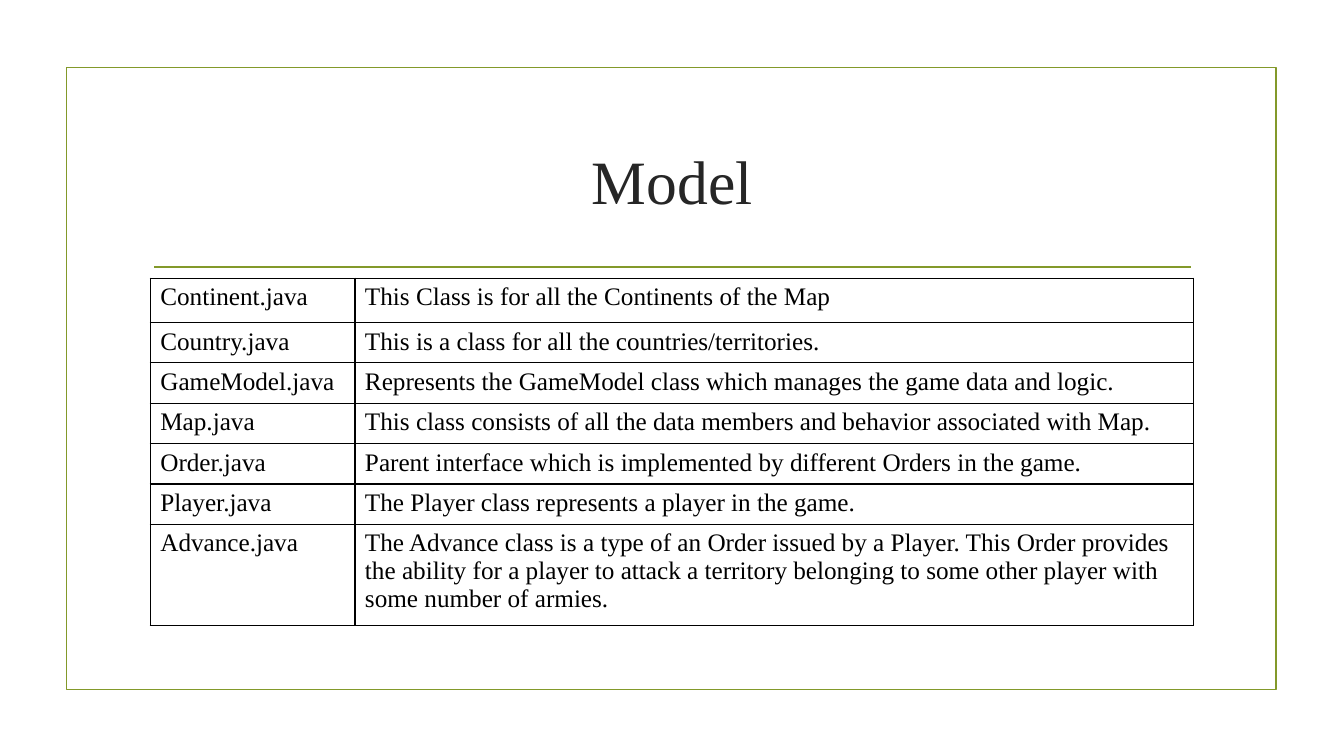
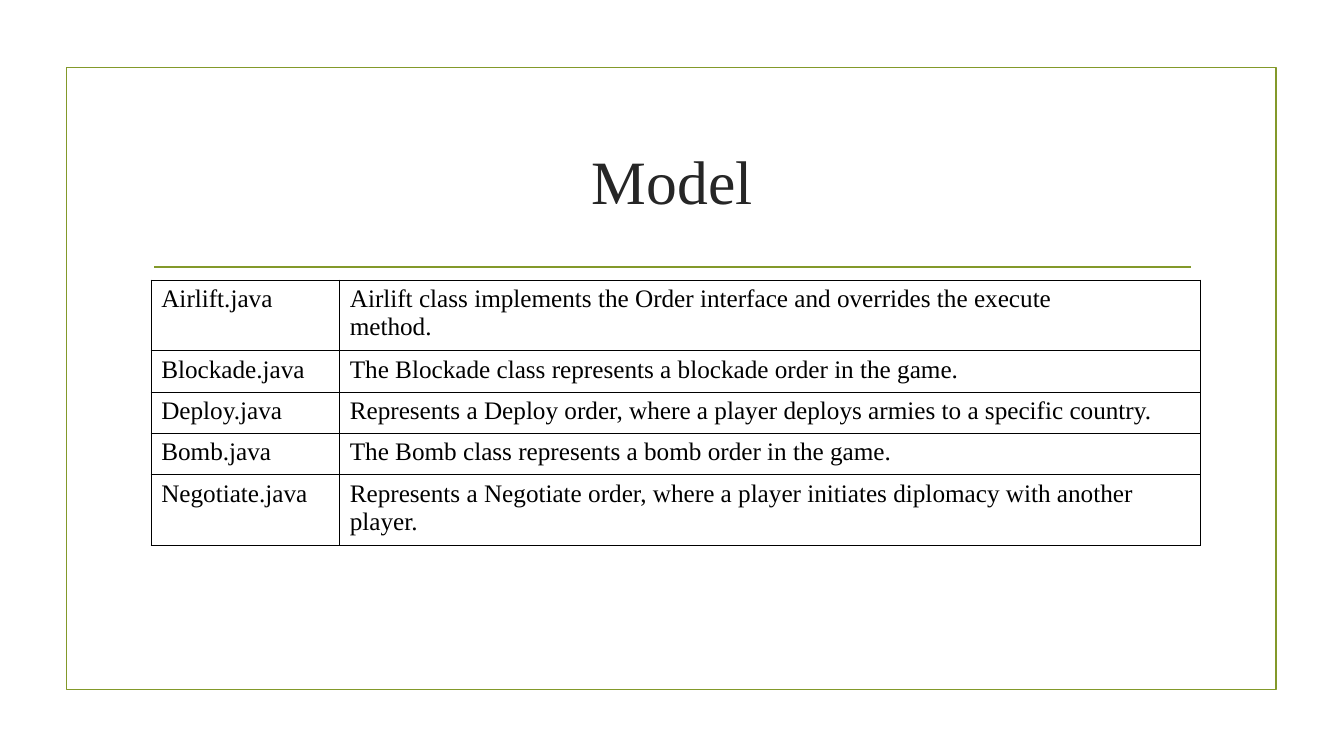
from dataclasses import dataclass

from lxml.etree import SubElement as Sub
from pptx import Presentation
from pptx.dml.color import RGBColor as Color
from pptx.enum.shapes import MSO_CONNECTOR as Link, MSO_SHAPE as Form
from pptx.enum.text import MSO_ANCHOR as Anchor, PP_ALIGN as Align
from pptx.oxml import parse_xml
from pptx.oxml.ns import nsdecls, qn
from pptx.util import Inches, Pt


@dataclass(frozen=True)
class Theme:
    font: str = "Times New Roman"
    olive: str = "83992A"
    dark: str = "262626"
    black: str = "000000"
    title: float = 44
    body: float = 18
    rule: float = 1.25
    grid: float = 1


class Deck:
    def __init__(self, theme):
        self.theme = theme
        self.show = Presentation()
        self.show.slide_width = Inches(13.33)
        self.show.slide_height = Inches(7.5)
        self.slide = None

    def page(self, title):
        self.slide = self.show.slides.add_slide(self.show.slide_layouts[6])
        self.frame(0.66, 0.67, 12, 6.17)
        self.line(1.53, 2.65, 11.81, 2.65)
        self.title(title, 1.42, 1.07, 10.5, 1.43)

    def stroke(self, line):
        line.color.rgb = Color.from_string(self.theme.olive)
        line.width = Pt(self.theme.rule)

    def style(self, text, size, color):
        for par in text.paragraphs:
            for run in par.runs:
                run.font.name = self.theme.font
                run.font.size = Pt(size)
                run.font.color.rgb = Color.from_string(color)

    def frame(self, *box):
        rect = self.slide.shapes.add_shape(Form.RECTANGLE, *map(Inches, box))
        rect.shadow.inherit = False
        rect.fill.background()
        self.stroke(rect.line)

    def line(self, *ends):
        rule = self.slide.shapes.add_connector(Link.STRAIGHT, *map(Inches, ends))
        Sub(rule._element.spPr, qn("a:effectLst"))
        self.stroke(rule.line)

    def title(self, words, *box):
        text = self.slide.shapes.add_textbox(*map(Inches, box)).text_frame
        text.word_wrap = True
        text.vertical_anchor = Anchor.MIDDLE
        text.text = words
        text.paragraphs[0].alignment = Align.CENTER
        self.style(text, self.theme.title, self.theme.dark)

    def border(self, cell):
        props = cell._tc.get_or_add_tcPr()
        for spot, side in enumerate("LRTB"):
            props.insert(spot, parse_xml(
                f'<a:ln{side} {nsdecls("a")} w="{Pt(self.theme.grid)}"><a:solidFill>'
                f'<a:srgbClr val="{self.theme.black}"/></a:solidFill></a:ln{side}>'))

    def table(self, left, top, cols, highs, rows):
        box = map(Inches, (left, top, sum(cols), sum(highs)))
        grid = self.slide.shapes.add_table(len(rows), len(cols), *box).table
        grid.first_row = grid.horz_banding = False
        for col, wide in zip(grid.columns, cols):
            col.width = Inches(wide)
        for row, high, words in zip(grid.rows, highs, rows):
            row.height = Inches(high)
            for cell, word in zip(row.cells, words):
                cell.text_frame.text = word
                cell.fill.background()
                self.border(cell)
                self.style(cell.text_frame, self.theme.body, self.theme.black)


CORE = [
    ("Continent.java", "This Class is for all the Continents of the Map"),
    ("Country.java", "This is a class for all the countries/territories."),
    ("GameModel.java", "Represents the GameModel class which manages the game data and logic."),
    ("Map.java", "This class consists of all the data members and behavior associated with Map."),
    ("Order.java", "Parent interface which is implemented by different Orders in the game."),
    ("Player.java", "The Player class represents a player in the game."),
    ("Advance.java", "The Advance class is a type of an Order issued by a Player. "
     "This Order provides the ability for a player to attack a territory "
     "belonging to some other player with some number of armies."),
]
ORDERS = [
    ("Airlift.java", "Airlift class implements the Order interface and overrides the execute\nmethod."),
    ("Blockade.java", "The Blockade class represents a blockade order in the game."),
    ("Deploy.java", "Represents a Deploy order, where a player deploys armies to a specific country."),
    ("Bomb.java", "The Bomb class represents a bomb order in the game."),
    ("Negotiate.java", "Represents a Negotiate order, where a player initiates diplomacy with another\nplayer."),
]


def main():
    deck = Deck(Theme())
    deck.page("Model")
    deck.table(1.49, 2.76, (2.03, 8.32), [0.44] + [0.39] * 5 + [0.97], CORE)
    deck.page("Model")
    deck.table(1.5, 2.78, (1.87, 8.54), [0.65] + [0.41] * 3 + [0.65], ORDERS)
    deck.show.save("out.pptx")


if __name__ == "__main__":
    main()
